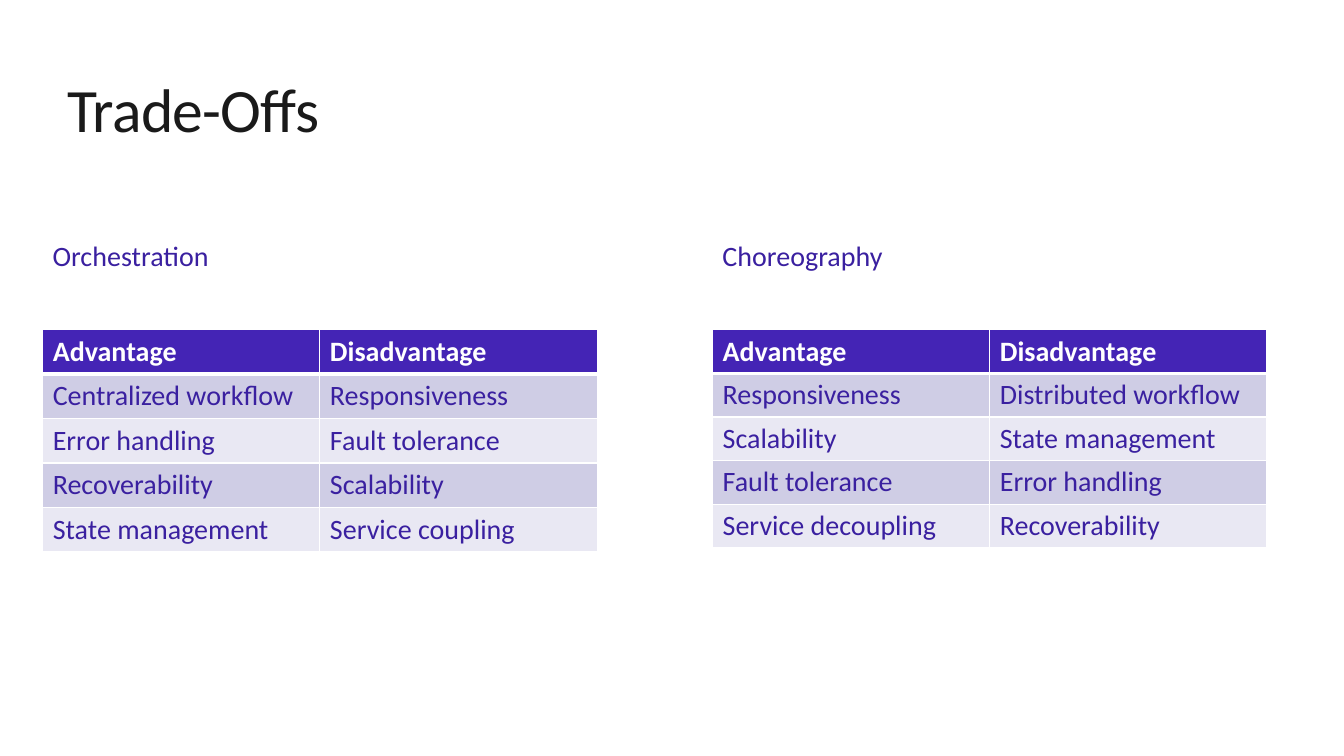
from lxml.etree import SubElement
from pptx import Presentation
from pptx.dml.color import RGBColor
from pptx.enum.text import MSO_ANCHOR, MSO_AUTO_SIZE, PP_ALIGN
from pptx.oxml.ns import qn
from pptx.util import Pt

WHITE = RGBColor(0xFF, 0xFF, 0xFF)
INK = RGBColor(0x1A, 0x1A, 0x1A)
VIOLET = RGBColor(0x3A, 0x20, 0xA0)
HEADER_FILL = RGBColor(0x44, 0x24, 0xB5)
DARK_BAND = RGBColor(0xCF, 0xCD, 0xE5)
LIGHT_BAND = RGBColor(0xE9, 0xE8, 0xF3)

HEADER = ("Advantage", "Disadvantage")
ORCHESTRATION = [
    HEADER,
    ("Centralized workflow", "Responsiveness"),
    ("Error handling", "Fault tolerance"),
    ("Recoverability", "Scalability"),
    ("State management", "Service coupling"),
]
CHOREOGRAPHY = [
    HEADER,
    ("Responsiveness", "Distributed workflow"),
    ("Scalability", "State management"),
    ("Fault tolerance", "Error handling"),
    ("Service decoupling", "Recoverability"),
]


def apply(target, values):
    for name, value in values.items():
        setattr(target, name, value)


class TradeOffPage:
    font_name = "Calibri"
    body_size = 20
    column_width = 198

    def __init__(self, deck):
        self.page = deck.slides.add_slide(deck.slide_layouts[5])

    def add_text(self, frame, text, color, size=body_size, bold=False):
        para = frame.paragraphs[0]
        para.alignment = PP_ALIGN.LEFT
        span = para.add_run()
        span.text = text
        apply(span.font, {"name": self.font_name, "size": Pt(size), "bold": bold})
        span.font.color.rgb = color
        return para, span

    def title(self, text):
        box = self.page.shapes.title
        apply(box, {"left": Pt(48), "top": Pt(48), "width": Pt(864), "height": Pt(65)})
        frame = box.text_frame
        apply(frame, {
            "margin_left": 0, "margin_right": 0, "margin_top": 0, "margin_bottom": 0,
            "vertical_anchor": MSO_ANCHOR.MIDDLE, "word_wrap": True,
            "auto_size": MSO_AUTO_SIZE.NONE,
        })
        para, span = self.add_text(frame, text, INK, 44)
        para.line_spacing = 0.9
        span._r.get_or_add_rPr().set("spc", "-50")

    def label(self, text, left):
        box = self.page.shapes.add_textbox(
            Pt(left), Pt(166.5), Pt(2 * self.column_width), Pt(31.5))
        apply(box.text_frame, {
            "word_wrap": True, "auto_size": MSO_AUTO_SIZE.SHAPE_TO_FIT_TEXT})
        self.add_text(box.text_frame, text, VIOLET)

    def borders(self, cell, top, bottom):
        properties = cell._tc.get_or_add_tcPr()
        widths = {"lnL": 1, "lnR": 1, "lnT": top, "lnB": bottom}
        for place, (tag, width) in enumerate(widths.items()):
            line = SubElement(properties, qn("a:" + tag), w=str(int(Pt(width))))
            fill = SubElement(line, qn("a:solidFill"))
            SubElement(fill, qn("a:srgbClr"), val=str(WHITE))
            properties.insert(place, line)

    def table(self, rows, left, row_height, margin):
        columns = len(rows[0])
        table = self.page.shapes.add_table(
            len(rows), columns, Pt(left), Pt(235.5),
            Pt(columns * self.column_width), Pt(len(rows) * row_height)).table
        for column in table.columns:
            column.width = Pt(self.column_width)
        for index, texts in enumerate(rows):
            is_header = index == 0
            band = HEADER_FILL if is_header else (LIGHT_BAND, DARK_BAND)[index % 2]
            table.rows[index].height = Pt(row_height)
            for column, text in enumerate(texts):
                cell = table.cell(index, column)
                apply(cell, {"margin_top": Pt(margin), "margin_bottom": Pt(margin)})
                cell.fill.solid()
                cell.fill.fore_color.rgb = band
                self.borders(cell, 3 if index == 1 else 1, 3 if is_header else 1)
                self.add_text(cell.text_frame, text,
                              WHITE if is_header else VIOLET, bold=is_header)


def main():
    deck = Presentation()
    apply(deck, {"slide_width": Pt(960), "slide_height": Pt(540)})
    page = TradeOffPage(deck)
    page.title("Trade-Offs")
    for name, rows, left, row_height, margin in (
        ("Orchestration", ORCHESTRATION, 30.5, 31.6, 3.6),
        ("Choreography", CHOREOGRAPHY, 509, 31.2, 3.3),
    ):
        page.table(rows, left, row_height, margin)
        page.label(name, left)
    deck.save("out.pptx")


if __name__ == "__main__":
    main()
